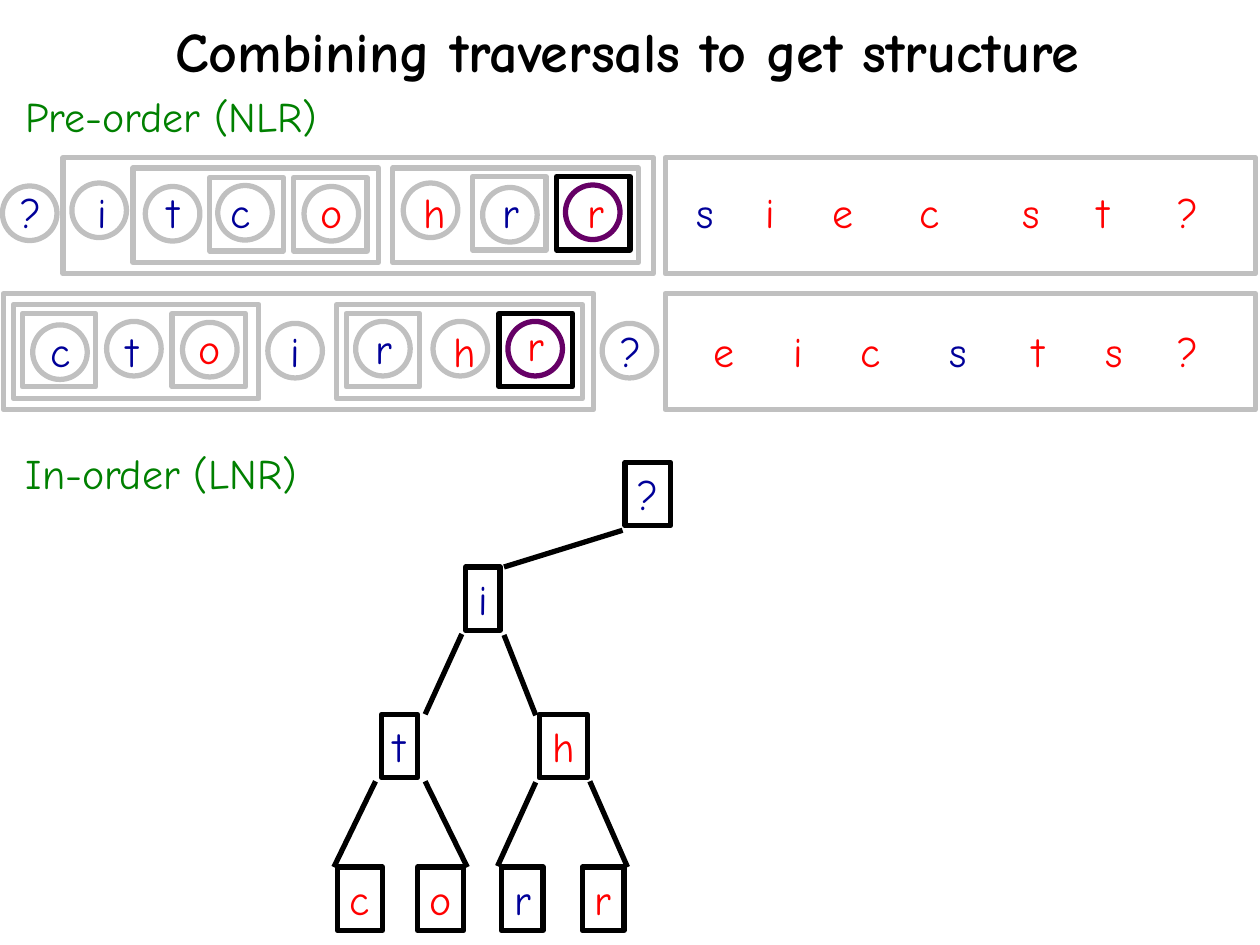
from dataclasses import dataclass

from lxml.etree import SubElement
from pptx import Presentation
from pptx.dml.color import RGBColor
from pptx.enum.shapes import MSO_CONNECTOR, MSO_SHAPE
from pptx.enum.text import MSO_AUTO_SIZE, PP_ALIGN
from pptx.oxml.ns import qn
from pptx.util import Cm, Pt


@dataclass(frozen=True)
class Theme:
    font: str = "Comic Neue"
    title_size: int = 32
    text_size: int = 24
    line_width: int = 3
    black: str = "000000"
    green: str = "008000"
    grey: str = "C0C0C0"
    purple: str = "660066"
    blue: str = "000099"
    red: str = "FF0000"


THEME = Theme()
BLUE, RED = THEME.blue, THEME.red

# All lengths below are in centimetres.
LETTER_HEIGHT = 1.28
LETTER_WIDTHS = {"?": 0.92, "i": 0.69, "t": 0.73, "c": 0.91, "e": 0.91,
                 "o": 0.93, "h": 0.97, "r": 0.84, "s": 0.87}
HALF_SIZE = (11.9, 2.34)
SUBTREE_SIZE = (4.95, 1.9)
LEAF_SIZE = (1.48, 1.48)
CIRCLE_SIZE = (1.1, 1.1)

# Each traversal: frames and circles as (left, top), letters as (letter, colour, left, top).
# The last leaf and the current circle are the ones being looked at.
PRE_ORDER = {
    "halves": [(1.27, 3.18), (13.41, 3.18)],
    "subtrees": [(2.68, 3.39), (7.92, 3.39)],
    "leaves": [(4.23, 3.58), (5.92, 3.58), (9.53, 3.56)],
    "current_leaf": (11.22, 3.56),
    "circles": [(0.05, 3.75), (1.45, 3.69), (2.93, 3.76), (4.39, 3.74),
                (6.13, 3.76), (8.13, 3.69), (9.73, 3.78)],
    "current_circle": (11.4, 3.73),
    "letters": [(letter, colour, left, 3.63) for letter, colour, left in [
        ("?", BLUE, 0.16), ("i", BLUE, 1.72), ("t", BLUE, 3.12), ("c", BLUE, 4.4),
        ("o", RED, 6.22), ("h", RED, 8.28), ("r", BLUE, 9.88), ("r", RED, 11.59),
        ("s", BLUE, 13.77), ("i", RED, 15.18), ("e", RED, 16.53), ("c", RED, 18.28),
        ("s", RED, 20.34), ("t", RED, 21.87), ("?", RED, 23.49)]],
}
IN_ORDER = {
    "halves": [(0.07, 5.92), (13.41, 5.92)],
    "subtrees": [(0.27, 6.14), (6.79, 6.14)],
    "leaves": [(0.45, 6.32), (3.47, 6.32), (6.98, 6.32)],
    "current_leaf": (10.06, 6.32),
    "circles": [(0.66, 6.55), (2.15, 6.48), (3.68, 6.5), (5.4, 6.52),
                (7.17, 6.48), (8.73, 6.48), (12.14, 6.52)],
    "current_circle": (10.24, 6.48),
    "letters": [
        ("c", BLUE, 0.76, 6.43), ("t", BLUE, 2.3, 6.43), ("o", RED, 3.75, 6.38),
        ("i", BLUE, 5.61, 6.43), ("r", BLUE, 7.32, 6.38), ("h", RED, 8.87, 6.43),
        ("r", RED, 10.39, 6.32), ("?", BLUE, 12.26, 6.43), ("e", RED, 14.14, 6.43),
        ("i", RED, 15.75, 6.43), ("c", RED, 17.1, 6.43), ("s", BLUE, 18.87, 6.43),
        ("t", RED, 20.57, 6.43), ("s", RED, 22.02, 6.43), ("?", RED, 23.49, 6.43)],
}
TREE_NODES = [
    ("?", BLUE, 12.6, 9.32), ("i", BLUE, 9.39, 11.43),
    ("t", BLUE, 7.69, 14.4), ("h", RED, 10.87, 14.4),
    ("c", RED, 6.8, 17.48), ("o", RED, 8.42, 17.48),
    ("r", BLUE, 10.11, 17.48), ("r", RED, 11.74, 17.48),
]
# Parent end, then child end
TREE_EDGES = [
    ((12.55, 10.69), (10.16, 11.43)),
    ((9.31, 12.78), (8.57, 14.4)), ((10.16, 12.8), (10.8, 14.42)),
    ((7.57, 15.75), (6.73, 17.48)), ((8.57, 15.75), (9.42, 17.48)),
    ((10.8, 15.77), (10.03, 17.46)), ((11.89, 15.75), (12.65, 17.48)),
]


def set_line(shape, colour):
    shape.line.color.rgb = RGBColor.from_string(colour)
    shape.line.width = Pt(THEME.line_width)


def add_text(slide, text, left, top, width, height, colour,
             size=THEME.text_size, bold=False, alignment=PP_ALIGN.LEFT):
    shape = slide.shapes.add_textbox(Cm(left), Cm(top), Cm(width), Cm(height))
    frame = shape.text_frame
    frame.word_wrap = False
    frame.auto_size = MSO_AUTO_SIZE.SHAPE_TO_FIT_TEXT
    paragraph = frame.paragraphs[0]
    paragraph.alignment = alignment
    run = paragraph.add_run()
    run.text = text
    run.font.name = THEME.font
    run.font.size = Pt(size)
    run.font.bold = bold
    run.font.color.rgb = RGBColor.from_string(colour)
    return shape


def add_letter(slide, letter, colour, left, top):
    return add_text(slide, letter, left, top, LETTER_WIDTHS[letter], LETTER_HEIGHT,
                    colour, alignment=PP_ALIGN.RIGHT)


def add_outline(slide, kind, position, size, colour=THEME.grey):
    """Add an unfilled rectangle or ellipse."""
    shape = slide.shapes.add_shape(kind, *(Cm(value) for value in position + size))
    shape.shadow.inherit = False
    shape.fill.background()
    set_line(shape, colour)


def add_traversal(slide, traversal):
    rectangle, oval = MSO_SHAPE.RECTANGLE, MSO_SHAPE.OVAL
    for name, kind, size in [("halves", rectangle, HALF_SIZE),
                             ("subtrees", rectangle, SUBTREE_SIZE),
                             ("leaves", rectangle, LEAF_SIZE),
                             ("circles", oval, CIRCLE_SIZE)]:
        for position in traversal[name]:
            add_outline(slide, kind, position, size)
    add_outline(slide, oval, traversal["current_circle"], CIRCLE_SIZE, THEME.purple)
    add_outline(slide, rectangle, traversal["current_leaf"], LEAF_SIZE, THEME.black)
    for letter in traversal["letters"]:
        add_letter(slide, *letter)


def add_edge(slide, start, end):
    connector = slide.shapes.add_connector(
        MSO_CONNECTOR.STRAIGHT, *(Cm(value) for value in start + end))
    set_line(connector, THEME.black)
    SubElement(connector.element.spPr, qn("a:effectLst"))


def add_tree(slide):
    for node in TREE_NODES:
        set_line(add_letter(slide, *node), THEME.black)
    for start, end in TREE_EDGES:
        add_edge(slide, start, end)


def main():
    presentation = Presentation()
    presentation.slide_width, presentation.slide_height = Cm(25.4), Cm(19.05)
    slide = presentation.slides.add_slide(presentation.slide_layouts[6])
    add_text(slide, "Combining traversals to get structure", 3.28, 0.2, 18.85, 1.63,
             THEME.black, THEME.title_size, bold=True)
    add_text(slide, "Pre-order (NLR)", 0.26, 1.7, 6.43, LETTER_HEIGHT, THEME.green)
    add_text(slide, "In-order (LNR)", 0.27, 8.89, 6, LETTER_HEIGHT, THEME.green)
    add_traversal(slide, IN_ORDER)
    add_traversal(slide, PRE_ORDER)
    add_tree(slide)
    presentation.save("out.pptx")


if __name__ == "__main__":
    main()
